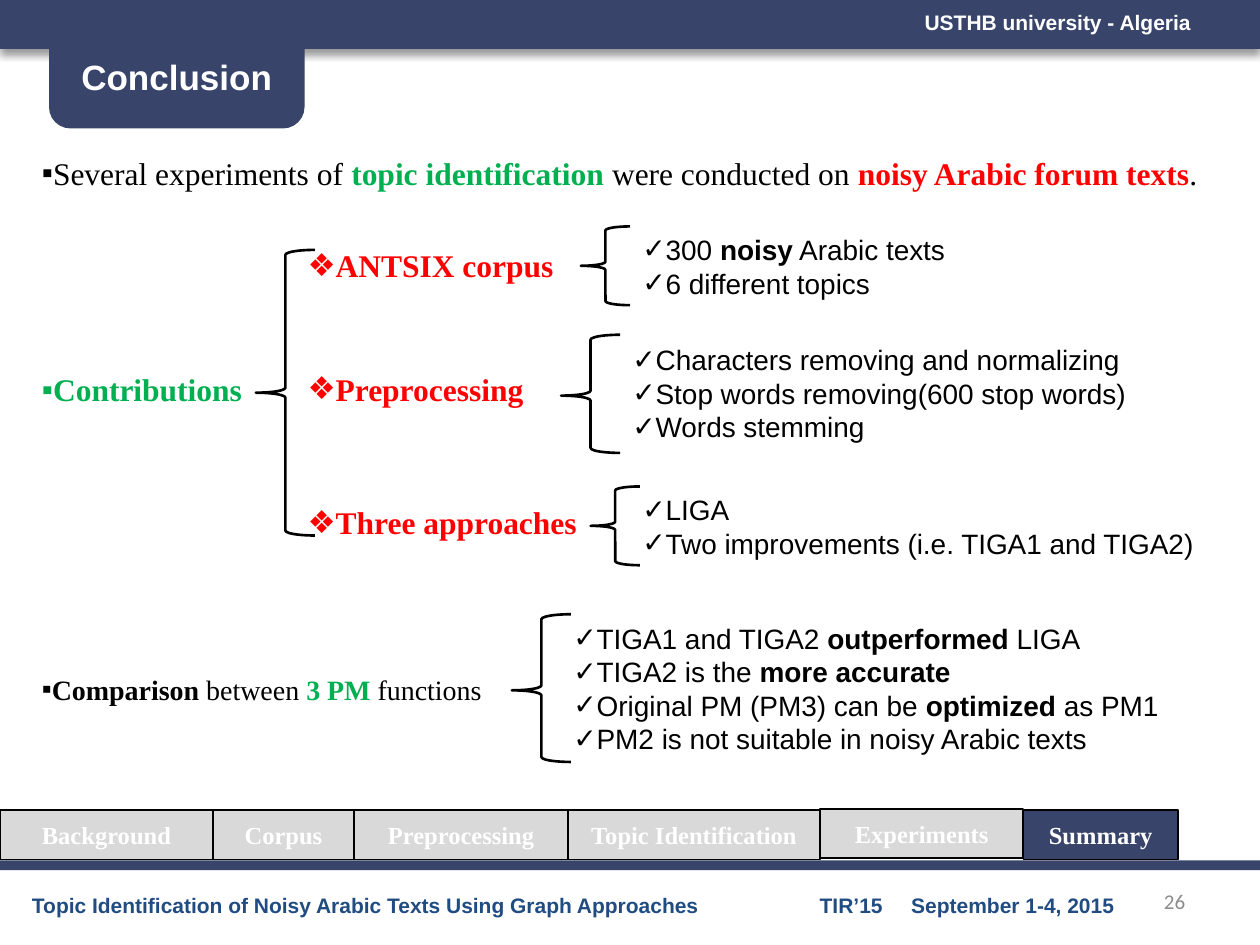
"""Build the conclusion slide of a talk on topic identification."""
from lxml import etree
from pptx import Presentation
from pptx.dml.color import RGBColor
from pptx.enum.shapes import MSO_SHAPE as Shape
from pptx.enum.text import MSO_ANCHOR as Anchor, PP_ALIGN as Align
from pptx.oxml import parse_xml
from pptx.oxml.ns import nsdecls, qn
from pptx.util import Pt

NAVY, BLUE, GREY, WHITE = "38446A", "204C82", "D9D9D9", "FFFFFF"
BLACK, RED, GREEN = "000000", "FF0000", "00B050"
BOLD, PLAIN = {"bold": True}, {}
SERIF, SANS = "Times New Roman", "Arial"


def add_shape(kind, box, fill=None, line=None, width=1):
    shape = slide.shapes.add_shape(kind, *map(Pt, box))
    shape.shadow.inherit = False
    for part, color in ((shape.fill, fill), (shape.line.fill, line)):
        if color:
            part.solid()
            part.fore_color.rgb = RGBColor.from_string(color)
        else:
            part.background()
    if line:
        shape.line.width = Pt(width)
    return shape


def write(target, paragraphs, font, size, color=BLACK, bold=False, align=Align.LEFT,
          anchor=Anchor.TOP, bullet=None):
    if isinstance(target, tuple):
        target = slide.shapes.add_textbox(*map(Pt, target))
    frame = target.text_frame
    frame.word_wrap = True
    frame.vertical_anchor = anchor
    for index, runs in enumerate(paragraphs):
        paragraph = frame.add_paragraph() if index else frame.paragraphs[0]
        paragraph.alignment = align
        if bullet:
            properties = paragraph._p.get_or_add_pPr()
            properties.set("marL", "0")
            properties.set("indent", "0")
            etree.SubElement(properties, qn("a:buFont")).set("typeface", SANS)
            etree.SubElement(properties, qn("a:buChar")).set("char", bullet)
        for text, changes in [(runs, PLAIN)] if isinstance(runs, str) else runs:
            run = paragraph.add_run()
            run.text = text
            values = {"name": font, "size": Pt(size), "bold": bold, "color": color, **changes}
            run.font.color.rgb = RGBColor.from_string(values.pop("color"))
            for name, value in values.items():
                setattr(run.font, name, value)


presentation = Presentation()
presentation.slide_width, presentation.slide_height = Pt(720), Pt(540)
slide = presentation.slides.add_slide(presentation.slide_layouts[6])

header = add_shape(Shape.RECTANGLE, (0, 0, 720, 28), NAVY)
effects = header._element.spPr.find(qn("a:effectLst"))
effects.append(parse_xml(
    f'<a:outerShdw {nsdecls("a")} blurRad="50800" dist="38100" dir="5400000">'
    '<a:srgbClr val="000000"><a:alpha val="40000"/></a:srgbClr></a:outerShdw>'))
write((517.5, 2, 174, 22), ["USTHB university - Algeria"], SANS, 12, WHITE, True, Align.CENTER)

add_shape(Shape.FLOWCHART_ALTERNATE_PROCESS, (28, 0, 146, 73.4), NAVY)
write((39.4, 28, 130, 32), ["Conclusion"], SANS, 20, WHITE, True)

sections = [("Background", 0), ("Corpus", 121.7), ("Preprocessing", 202.3),
            ("Topic Identification", 324.7), ("Experiments", 468.6), ("Summary", 584.8)]
rights = [left for _, left in sections[1:]] + [673.2]
for (name, left), right in zip(sections, rights):
    top = 462.3 if name == "Experiments" else 463
    fill = NAVY if name == "Summary" else GREY
    tab = add_shape(Shape.RECTANGLE, (left, top, right - left, 28.2), fill, BLACK)
    write(tab, [name], SERIF, 14, WHITE, True, Align.CENTER, Anchor.MIDDLE)

add_shape(Shape.RECTANGLE, (0, 491.6, 720, 5.6), NAVY)
footers = [("Topic Identification of Noisy Arabic Texts Using Graph Approaches", 11.2, 400),
           ("TIR’15", 461.3, 54), ("September 1-4, 2015", 513.6, 145)]
for text, left, width in footers:
    write((left, 506.2, width, 21.8), [text], SANS, 12, BLUE, True)
write((516.3, 500.4, 168, 28.8), ["26"], "Calibri", 12, "8C8C8C",
      align=Align.RIGHT, anchor=Anchor.MIDDLE)

green, red = {"color": GREEN, **BOLD}, {"color": RED, **BOLD}
write((16.9, 84.4, 703, 29), [[
    ("Several experiments of ", PLAIN), ("topic identification ", green),
    ("were conducted on ", PLAIN), ("noisy Arabic forum texts", red), (".", PLAIN)]],
    SERIF, 18, bullet="▪")
write((16.9, 208, 140, 29), ["Contributions"], SERIF, 18, GREEN, True, bullet="▪")
write((16.9, 380.8, 286.6, 26.6), [[
    ("Comparison", BOLD), (" between ", PLAIN), ("3 PM ", green), ("functions", PLAIN)]],
    SERIF, 16, bullet="▪")

for text, top in (("ANTSIX corpus", 137.3), ("Preprocessing", 207.6), ("Three approaches", 284)):
    write((168.7, top, 180, 29), [text], SERIF, 18, RED, True, bullet="❖")

details = [
    ((360, 129.4, 202.3, 46), [[("300 ", PLAIN), ("noisy", BOLD), (" Arabic texts", PLAIN)],
                               "6 different topics"]),
    ((354.3, 192.3, 309.6, 65.5), ["Characters removing and normalizing",
                                   "Stop words removing(600 stop words)",
                                   "Words stemming"]),
    ((360, 278, 343.4, 46), ["LIGA", "Two improvements (i.e. TIGA1 and TIGA2)"]),
    ((320.6, 351.4, 376.6, 85), [
        [("TIGA1 and TIGA2 ", PLAIN), ("outperformed", BOLD), (" LIGA", PLAIN)],
        [("TIGA2 is the ", PLAIN), ("more accurate", BOLD)],
        [("Original PM (PM3) can be ", PLAIN), ("optimized", BOLD), (" as PM1", PLAIN)],
        "PM2 is not suitable in noisy Arabic texts"]),
]
for box, lines in details:
    write(box, lines, SANS, 16, bullet="✓")

braces = [((146.2, 142.8, 33.8, 163.2), 0.5), ((331.9, 129.4, 28.1, 45), 0.5),
          ((320.6, 191.3, 33.8, 67.5), 0.515), ((337.5, 278, 28.1, 45), 0.5),
          ((292.5, 351, 33.8, 84.4), 0.515)]
for box, middle in braces:
    brace = add_shape(Shape.LEFT_BRACE, box, line=BLACK, width=1.5)
    brace.adjustments[0], brace.adjustments[1] = 0.083, middle

presentation.save("out.pptx")
